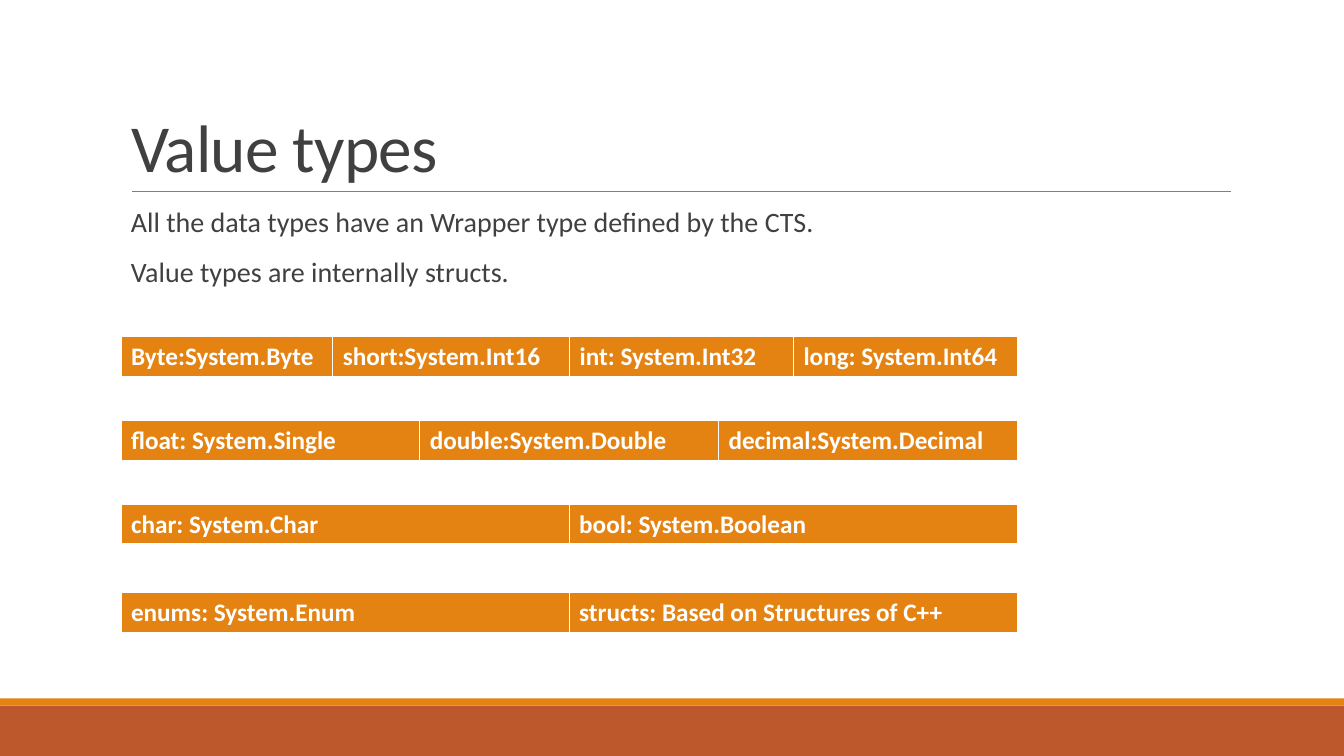
import pptx
import pptx.dml.color
import pptx.enum.shapes
import pptx.enum.text
import pptx.oxml
import pptx.oxml.ns
import pptx.util
from pptx.util import Inches

ORANGE, RUST, GRAY, INK, WHITE = "E48312", "BD582C", "808080", "404040", "FFFFFF"
SLIDE_WIDTH, SLIDE_HEIGHT = 13.33, 7.5
LEFT, CONTENT_WIDTH = 1.2, 11
ROW_HEIGHT = 0.41
TABLE_WIDTH = 8.89

STATEMENTS = [
    "All the data types have an Wrapper type defined by the CTS.",
    "Value types are internally structs.",
]

# Top, column widths (None for equal columns), cell texts
TYPE_ROWS = [
    (3.34, [2.1, 2.35, 2.22, 2.22],
     ["Byte:System.Byte", "short:System.Int16", "int: System.Int32", "long: System.Int64"]),
    (4.17, None, ["float: System.Single", "double:System.Double", "decimal:System.Decimal"]),
    (5, None, ["char: System.Char", "bool: System.Boolean"]),
    (5.88, None, ["enums: System.Enum", "structs: Based on Structures of C++"]),
]


def color(hex_code):
    return pptx.dml.color.RGBColor.from_string(hex_code)


def add_border(cell, side, points):
    """Draw a white border on one side (L, R, T or B) of a cell."""
    border = pptx.oxml.parse_xml(
        f'<a:ln{side} {pptx.oxml.ns.nsdecls("a")} w="{pptx.util.Pt(points)}">'
        f'<a:solidFill><a:srgbClr val="{WHITE}"/></a:solidFill></a:ln{side}>')
    cell._tc.get_or_add_tcPr().append(border)


class SlideBuilder:
    font = "Calibri"

    def __init__(self, slide):
        self.slide = slide

    def format_text(self, paragraph, size, hex_code, bold=False):
        paragraph.alignment = pptx.enum.text.PP_ALIGN.LEFT
        for run in paragraph.runs:
            run.font.name = self.font
            run.font.size = pptx.util.Pt(size)
            run.font.bold = bold
            run.font.color.rgb = color(hex_code)

    def band(self, top, height, hex_code):
        """Add a full-width coloured strip."""
        strip = self.slide.shapes.add_shape(
            pptx.enum.shapes.MSO_SHAPE.RECTANGLE,
            0, Inches(top), Inches(SLIDE_WIDTH), Inches(height))
        strip.shadow.inherit = False
        strip.fill.solid()
        strip.fill.fore_color.rgb = color(hex_code)
        strip.line.fill.background()

    def rule(self, start, end, y):
        """Add a thin horizontal line."""
        divider = self.slide.shapes.add_connector(
            pptx.enum.shapes.MSO_CONNECTOR.STRAIGHT,
            Inches(start), Inches(y), Inches(end), Inches(y))
        divider.line.color.rgb = color(GRAY)
        divider.line.width = pptx.util.Pt(0.5)
        divider._element.spPr.append(
            pptx.oxml.parse_xml(f'<a:effectLst {pptx.oxml.ns.nsdecls("a")}/>'))

    def title(self, text, top, height):
        heading = self.slide.shapes.title
        heading.left, heading.top = Inches(LEFT), Inches(top)
        heading.width, heading.height = Inches(CONTENT_WIDTH), Inches(height)
        frame = heading.text_frame
        frame.text = text
        frame.auto_size = pptx.enum.text.MSO_AUTO_SIZE.NONE
        frame.vertical_anchor = pptx.enum.text.MSO_ANCHOR.BOTTOM
        line = frame.paragraphs[0]
        line.line_spacing = 0.85
        self.format_text(line, 48, INK)
        line.runs[0]._r.get_or_add_rPr().set("spc", "-50")

    def body(self, statements, top, height):
        frame = self.slide.shapes.add_textbox(
            Inches(LEFT), Inches(top), Inches(CONTENT_WIDTH), Inches(height)).text_frame
        frame.word_wrap = True
        frame.text = "\n".join(statements)
        for paragraph in frame.paragraphs:
            paragraph.line_spacing = 0.9
            paragraph.space_before = pptx.util.Pt(12)
            paragraph.space_after = pptx.util.Pt(2)
            self.format_text(paragraph, 20, INK)

    def type_row(self, top, widths, labels):
        """Add a one-row table of data types."""
        widths = widths or [TABLE_WIDTH / len(labels)] * len(labels)
        table = self.slide.shapes.add_table(
            1, len(labels), Inches(LEFT), Inches(top),
            Inches(TABLE_WIDTH), Inches(ROW_HEIGHT)).table
        for column, width, cell, label in zip(
                table.columns, widths, table.rows[0].cells, labels):
            column.width = Inches(width)
            cell.text = label
            self.format_text(cell.text_frame.paragraphs[0], 18, WHITE, bold=True)
            for side, points in (("L", 1), ("R", 1), ("T", 1), ("B", 3)):
                add_border(cell, side, points)
            cell.fill.solid()
            cell.fill.fore_color.rgb = color(ORANGE)


def main():
    deck = pptx.Presentation()
    deck.slide_width, deck.slide_height = Inches(SLIDE_WIDTH), Inches(SLIDE_HEIGHT)
    builder = SlideBuilder(deck.slides.add_slide(deck.slide_layouts[5]))
    builder.band(7, 0.5, RUST)
    builder.band(6.93, 0.07, ORANGE)
    builder.rule(1.31, 12.21, 1.9)
    builder.title("Value types", 0.31, 1.59)
    builder.body(STATEMENTS, 2.02, 4.4)
    for top, widths, labels in TYPE_ROWS:
        builder.type_row(top, widths, labels)
    deck.save("out.pptx")


if __name__ == "__main__":
    main()
